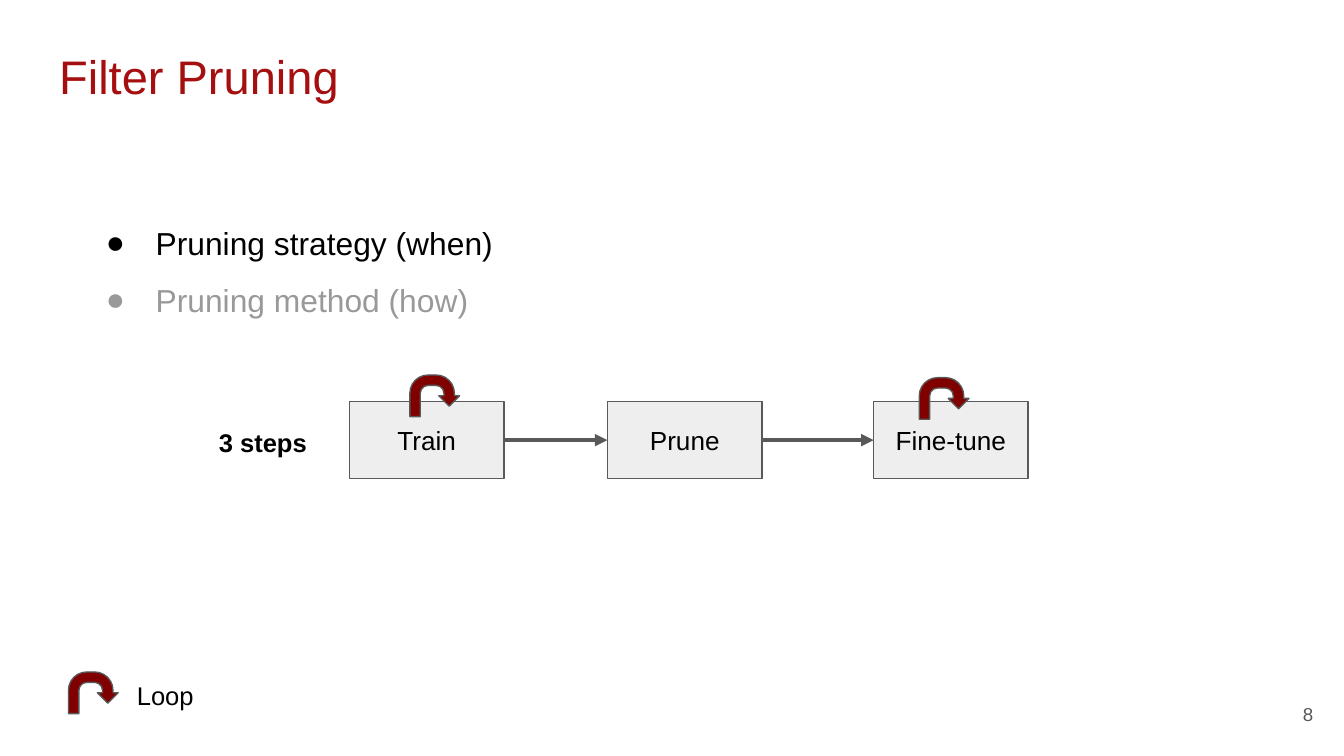
from lxml.etree import SubElement
from pptx import Presentation
from pptx.dml.color import RGBColor
from pptx.enum.shapes import MSO_CONNECTOR, MSO_SHAPE
from pptx.enum.text import MSO_ANCHOR, MSO_AUTO_SIZE, PP_ALIGN
from pptx.oxml.ns import qn
from pptx.util import Inches, Pt

BLACK, GRAY, DARK = "000000", "999999", "595959"
STEP_TOP, STEP_WIDE, STEP_HIGH = 2.99, 1.15, 0.57


def color(code):
    """Turn a hex string into a colour."""
    return RGBColor.from_string(code)


def write(frame, text, size=14, ink=BLACK, bold=False, align=PP_ALIGN.LEFT,
          anchor=MSO_ANCHOR.TOP, bullet=None, space=1.0, first=True):
    """Write one formatted paragraph into a text frame."""
    frame.word_wrap = True
    frame.auto_size = MSO_AUTO_SIZE.NONE
    frame.vertical_anchor = anchor
    frame.margin_left = frame.margin_right = Inches(0.1)
    frame.margin_top = frame.margin_bottom = Inches(0.1)
    para = frame.paragraphs[0] if first else frame.add_paragraph()
    if bullet:
        props = para._p.get_or_add_pPr()
        props.set("marL", str(Inches(0.5)))
        props.set("indent", str(Inches(-0.37)))
        tint = SubElement(props, qn("a:buClr"))
        SubElement(tint, qn("a:srgbClr"), val=ink)
        SubElement(props, qn("a:buFont"), typeface="Arial")
        SubElement(props, qn("a:buChar"), char=bullet)
    para.alignment = align
    para.line_spacing = space
    para.space_before = Pt(0)
    run = para.add_run()
    run.text = text
    font = run.font
    font.name, font.size, font.bold = "Arial", Pt(size), bold
    font.color.rgb = color(ink)


def label(slide, box, text, **style):
    """Add a text box with one paragraph and return its frame."""
    frame = slide.shapes.add_textbox(*map(Inches, box)).text_frame
    write(frame, text, **style)
    return frame


def block(slide, kind, box, fill):
    """Add a filled shape with a thin dark outline."""
    shape = slide.shapes.add_shape(kind, *map(Inches, box))
    shape.shadow.inherit = False
    shape.fill.solid()
    shape.fill.fore_color.rgb = color(fill)
    shape.line.color.rgb = color(DARK)
    shape.line.width = Pt(0.75)
    return shape


def step(slide, left, text):
    """Add one box of the process."""
    box = (left, STEP_TOP, STEP_WIDE, STEP_HIGH)
    shape = block(slide, MSO_SHAPE.RECTANGLE, box, "EEEEEE")
    write(shape.text_frame, text, align=PP_ALIGN.CENTER, anchor=MSO_ANCHOR.MIDDLE)
    return shape


def arrow(slide, start, end):
    """Join two steps with an arrow."""
    line = slide.shapes.add_connector(MSO_CONNECTOR.STRAIGHT, 0, 0, 0, 0)
    line.begin_connect(start, 3)
    line.end_connect(end, 1)
    line.line.color.rgb = color(DARK)
    line.line.width = Pt(2.25)
    props = line._element.spPr
    SubElement(props.find(qn("a:ln")), qn("a:tailEnd"), type="triangle")
    SubElement(props, qn("a:effectLst"))


def loop(slide, left, top):
    """Add a loop symbol."""
    shape = block(slide, MSO_SHAPE.U_TURN_ARROW, (left, top, 0.37, 0.31), "800000")
    for index, value in enumerate((0.25, 0.25, 0.25, 0.44, 0.75)):
        shape.adjustments[index] = value


def main():
    """Build the slide and save it."""
    deck = Presentation()
    deck.slide_width = Inches(10)
    deck.slide_height = deck.slide_width * 9 // 16
    slide = deck.slides.add_slide(deck.slide_layouts[5])
    title = slide.shapes.title
    title.left, title.top = Inches(0.34), Inches(0.25)
    title.width, title.height = Inches(9.32), Inches(0.63)
    write(title.text_frame, "Filter Pruning", size=25.2, ink="A60F0F")

    topic = {"size": 17, "bullet": "●", "space": 1.5}
    frame = label(slide, (0.56, 1.42, 4.48, 0.92), "Pruning strategy (when)", **topic)
    write(frame, "Pruning method (how)", ink=GRAY, first=False, **topic)

    names = {"Train": 2.6, "Prune": 4.52, "Fine-tune": 6.5}
    steps = [step(slide, left, name) for name, left in names.items()]
    for start, end in zip(steps, steps[1:]):
        arrow(slide, start, end)
    for left, top in ((3.05, 2.79), (6.84, 2.81), (0.51, 5)):
        loop(slide, left, top)

    label(slide, (0.92, 4.96, 0.77, 0.39), "Loop", size=13.7)
    label(slide, (1.53, 3.08, 0.88, 0.39), "3 steps", size=13.7, bold=True)
    label(slide, (9.27, 5.1, 0.6, 0.43), "8", size=10, ink=DARK,
          align=PP_ALIGN.RIGHT, anchor=MSO_ANCHOR.MIDDLE)
    deck.save("out.pptx")


if __name__ == "__main__":
    main()
